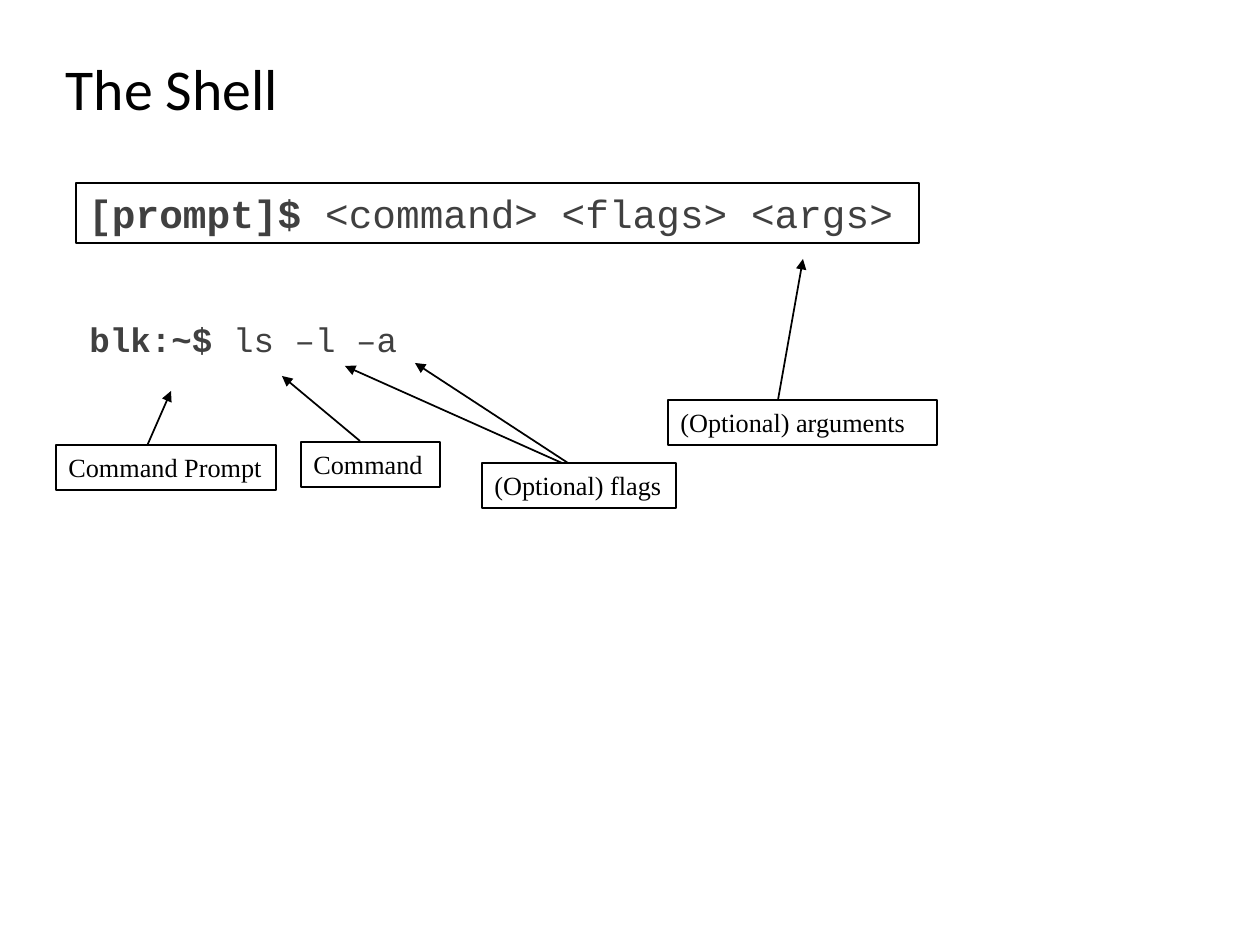
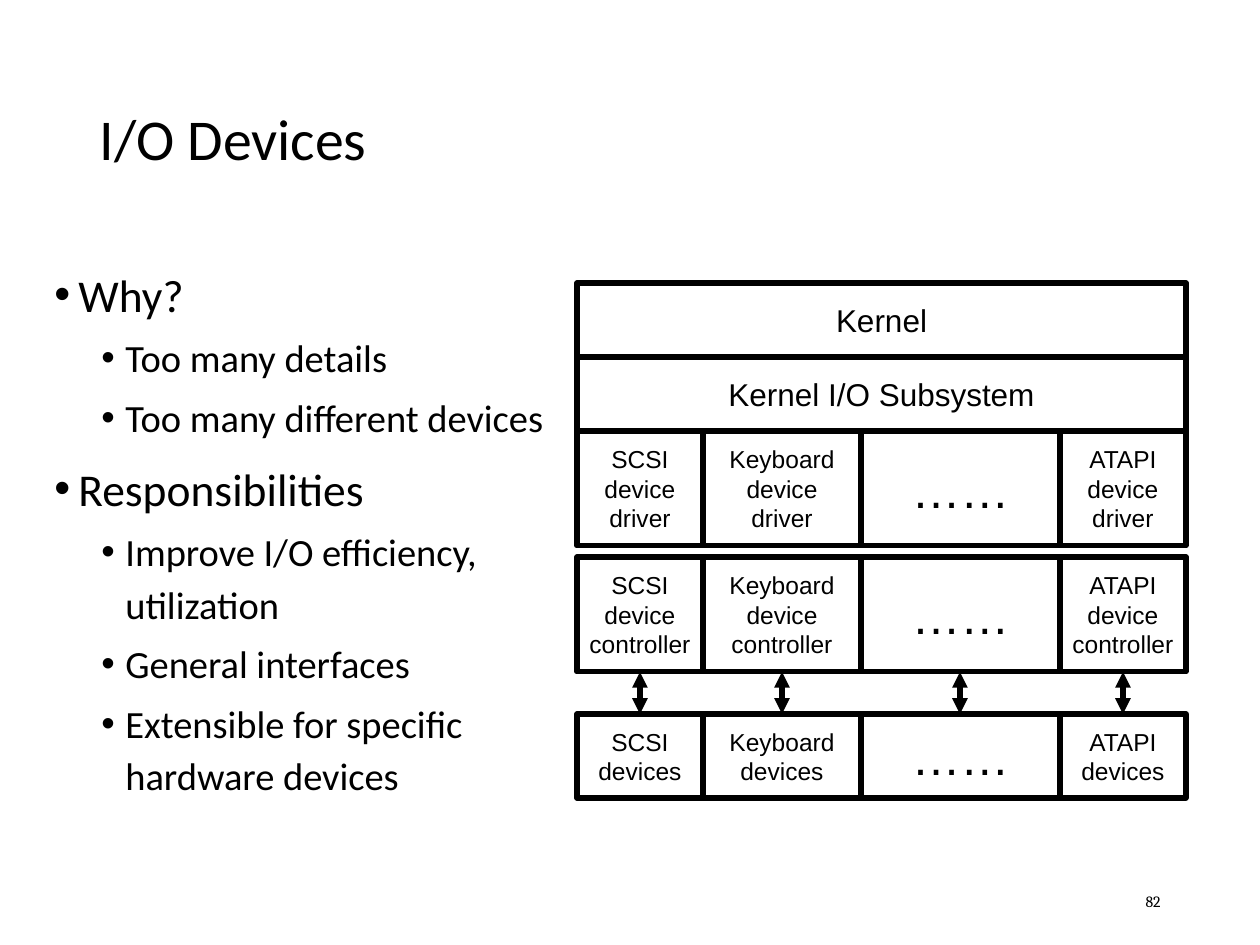
from lxml.etree import SubElement
from pptx import Presentation
from pptx.dml.color import RGBColor
from pptx.enum.shapes import MSO_CONNECTOR, MSO_SHAPE
from pptx.enum.text import MSO_ANCHOR, MSO_AUTO_SIZE, PP_ALIGN
from pptx.oxml.ns import qn
from pptx.util import Emu, Pt

PX = 914400 / 126
COLORS = {"ink": "000000", "paper": "FFFFFF", "code": "404040"}
BULLETS = [(24, 26, 7.5), (71, 22, 3.8)]
HANG = 24


def px(value):
    return Emu(round(value * PX))


def rgb(name):
    return RGBColor.from_string(COLORS[name])


def write(frame, lines, font="Calibri", size=18, color="ink", align=PP_ALIGN.LEFT,
          anchor=MSO_ANCHOR.TOP, wrap=True, spacing=None, bold_first=False, levels=None):
    frame.auto_size = MSO_AUTO_SIZE.NONE
    frame.word_wrap = wrap
    frame.vertical_anchor = anchor
    for index, line in enumerate(lines):
        paragraph = frame.paragraphs[0] if index == 0 else frame.add_paragraph()
        line_size = size
        if levels:
            indent, line_size, before = BULLETS[levels[index]]
            paragraph.level = levels[index]
            properties = paragraph._p.get_or_add_pPr()
            properties.set("marL", str(px(indent)))
            properties.set("indent", str(-px(HANG)))
            SubElement(properties, qn("a:buFont"), typeface="Arial")
            SubElement(properties, qn("a:buChar"), char="•")
            if index:
                paragraph.space_before = Pt(before)
        paragraph.alignment = align
        if spacing:
            paragraph.line_spacing = spacing
        pieces = [line] if isinstance(line, str) else line
        for place, piece in enumerate(pieces):
            run = paragraph.add_run()
            run.text = piece
            run.font.name = font
            run.font.size = Pt(line_size)
            run.font.color.rgb = rgb(color)
            run.font.bold = bold_first and place == 0


class Deck:
    def __init__(self):
        self.file = Presentation()
        self.file.slide_width, self.file.slide_height = px(1260), px(945)
        self.slide = None

    def titled(self, title, box):
        self.slide = self.file.slides.add_slide(self.file.slide_layouts[5])
        heading = self.slide.shapes.title
        heading.left, heading.top, heading.width, heading.height = map(px, box)
        write(heading.text_frame, [title], size=33, anchor=MSO_ANCHOR.MIDDLE, spacing=0.9)

    def text(self, box, lines, **style):
        area = self.slide.shapes.add_textbox(*map(px, box))
        write(area.text_frame, lines, **style)

    def box(self, box, lines, fill="paper", line=1, **style):
        shape = self.slide.shapes.add_shape(MSO_SHAPE.RECTANGLE, *map(px, box))
        shape.shadow.inherit = False
        if fill:
            shape.fill.solid()
            shape.fill.fore_color.rgb = rgb(fill)
        else:
            shape.fill.background()
        if line:
            shape.line.color.rgb = rgb("ink")
            shape.line.width = Pt(line)
        else:
            shape.line.fill.background()
        write(shape.text_frame, lines, **style)

    def command(self, box, prompt, rest, size, line):
        self.box(box, [[prompt, rest]], line=line, font="Courier New", size=size,
                 color="code", bold_first=True)

    def label(self, box, words, wrap=True):
        self.box(box, [words], font="Times New Roman", size=15, wrap=wrap)

    def cell(self, box, lines, size):
        self.box(box, lines, fill=None, line=3, font="Arial", size=size,
                 align=PP_ALIGN.CENTER, anchor=MSO_ANCHOR.MIDDLE, wrap=False)

    def arrow(self, start, end, width=1, ends=("tailEnd",)):
        link = self.slide.shapes.add_connector(
            MSO_CONNECTOR.STRAIGHT, *map(px, (*start, *end)))
        link.line.color.rgb = rgb("ink")
        link.line.width = Pt(width)
        outline = link.line._get_or_add_ln()
        for end_name in ends:
            SubElement(outline, qn(f"a:{end_name}"), type="triangle")
        SubElement(link._element.spPr, qn("a:effectLst"))


def shell_slide(deck):
    deck.titled("The Shell", (53, 53, 888, 77))
    deck.command((76, 183, 843, 60), "[prompt]$", " <command> <flags> <args>", 22.5, 1)
    deck.command((77, 312, 834, 54), "blk:~$", " ls –l –a", 19.5, None)
    for start, end in [((147, 446), (171, 391)), ((360, 441), (282, 376)),
                       ((571, 467), (345, 366)), ((568, 463), (415, 363)),
                       ((778, 400), (803, 259))]:
        deck.arrow(start, end)
    for left, top, width, words, wrap in [
            (56, 445, 220, "Command Prompt", False), (301, 442, 139, "Command", True),
            (668, 400, 269, "(Optional) arguments", True),
            (482, 463, 194, "(Optional) flags", False)]:
        deck.label((left, top, width, 45), words, wrap)


def devices_slide(deck):
    deck.titled("I/O Devices", (87, 50, 1086, 183))
    reasons = [
        (0, "Why?"), (1, "Too many details"), (1, "Too many different devices"),
        (0, "Responsibilities"), (1, "Improve I/O efficiency, utilization"),
        (1, "General interfaces"), (1, "Extensible for specific hardware devices")]
    levels, lines = zip(*reasons)
    deck.text((42, 253, 525, 639), lines, levels=levels, spacing=1.14)
    deck.text((890, 876, 283, 50), ["82"], font="Cambria", size=9,
              align=PP_ALIGN.RIGHT, anchor=MSO_ANCHOR.MIDDLE)

    edges = [577, 703, 861, 1060, 1186]
    columns = list(zip(edges, edges[1:], ["SCSI", "Keyboard", None, "ATAPI"]))
    for top, layer in [(283, "Kernel"), (357, "Kernel I/O Subsystem")]:
        deck.cell((edges[0], top, edges[-1] - edges[0], 74), [layer], 18)
    for top, height, role in [(431, 115, ["device", "driver"]),
                              (557, 115, ["device", "controller"]),
                              (714, 84, ["devices"])]:
        for left, right, bus in columns:
            words, size = ([bus, *role], 14) if bus else (["……"], 28)
            deck.cell((left, top, right - left, height), words, size)
    for left, right, _ in columns:
        middle = (left + right) // 2
        deck.arrow((middle, 672), (middle, 714), 3, ("headEnd", "tailEnd"))


def main():
    deck = Deck()
    shell_slide(deck)
    devices_slide(deck)
    deck.file.save("out.pptx")


if __name__ == "__main__":
    main()
